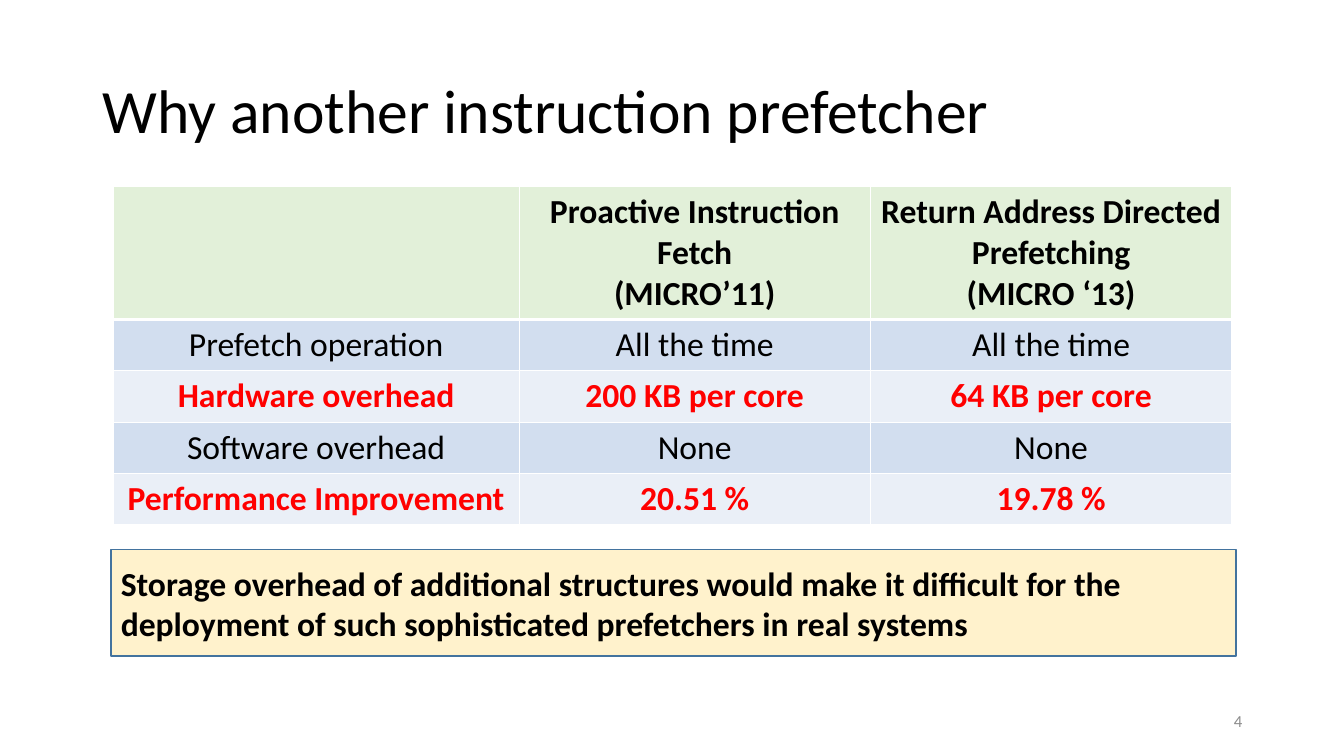
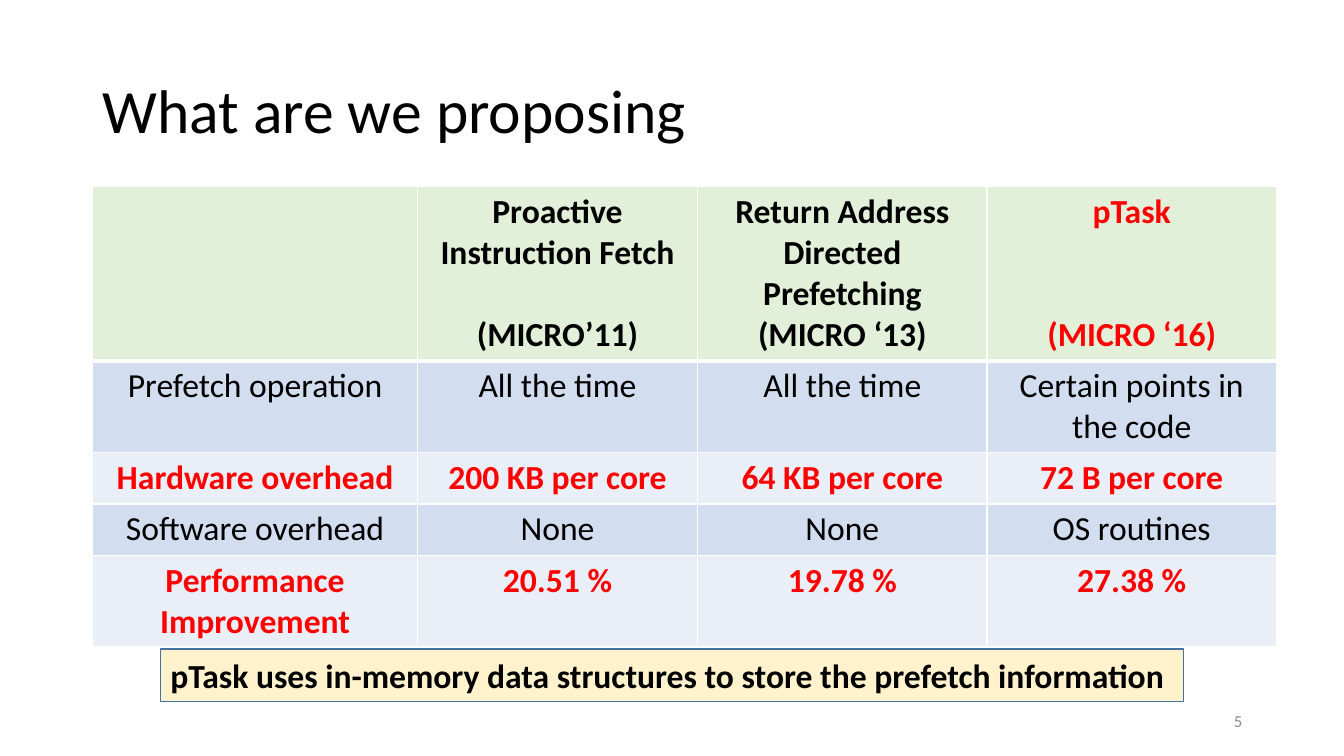
from lxml import etree
from pptx import Presentation
from pptx import util as u
from pptx.dml.color import RGBColor
from pptx.enum import shapes, text
from pptx.oxml.ns import qn

PX = 9144
FONT = "Calibri"
C = {
    "ink": "000000",
    "alert": "FF0000",
    "muted": "8C8C8C",
    "white": "FFFFFF",
    "header": "E2F0D9",
    "band": "D2DEEF",
    "light": "EAEFF7",
    "note": "FFF2CC",
    "edge": "43739E",
}
LINE = 29.3
LEFT, CENTER, RIGHT = text.PP_ALIGN.LEFT, text.PP_ALIGN.CENTER, text.PP_ALIGN.RIGHT
TOP, MIDDLE = text.MSO_ANCHOR.TOP, text.MSO_ANCHOR.MIDDLE


def write(tf, words, size=24, color="ink", bold=False, align=LEFT, anchor=MIDDLE, spacing=1.0, gap=0):
    tf.word_wrap = True
    tf.vertical_anchor = anchor
    for i, line in enumerate(words.split("\n")):
        p = tf.paragraphs[0] if i == 0 else tf.add_paragraph()
        p.alignment = align
        p.line_spacing = spacing
        if i and gap:
            p.space_before = u.Pt(gap)
        r = p.add_run()
        r.text = line
        r.font.name = FONT
        r.font.size = u.Pt(size)
        r.font.bold = bold
        r.font.color.rgb = RGBColor.from_string(C[color])


def border(cell, **widths):
    tc_pr = cell._tc.get_or_add_tcPr()
    for side in "LRTB":
        ln = etree.SubElement(tc_pr, qn("a:ln" + side), w=str(u.Pt(widths.get(side, 1))))
        fill = etree.SubElement(ln, qn("a:solidFill"))
        etree.SubElement(fill, qn("a:srgbClr"), val=C["white"])


slides = [
    {
        "title": "Why another instruction prefetcher",
        "number": "4",
        "left": 112,
        "cols": [403, 348, 359],
        "rows": [132, 51, 51, 51, 51],
        "header": [
            ("", 0),
            ("Proactive Instruction Fetch\n(MICRO’11)", 0),
            ("Return Address Directed Prefetching\n(MICRO ‘13)", 0),
        ],
        "body": [
            ["Prefetch operation", "All the time", "All the time"],
            ["Hardware overhead", "200 KB per core", "64 KB per core"],
            ["Software overhead", "None", "None"],
            ["Performance Improvement", "20.51 %", "19.78 %"],
        ],
        "note": "Storage overhead of additional structures would make it difficult for the "
                "deployment of such sophisticated prefetchers in real systems",
        "note_box": (110, 545, 1116, 106),
    },
    {
        "title": "What are we proposing",
        "number": "5",
        "left": 92,
        "cols": [322, 278, 287, 287],
        "rows": [173, 91, 51, 51, 91],
        "header": [
            ("", 0),
            ("Proactive Instruction Fetch\n(MICRO’11)", 1),
            ("Return Address Directed Prefetching\n(MICRO ‘13)", 0),
            ("pTask\n(MICRO ‘16)", 2),
        ],
        "body": [
            ["Prefetch operation", "All the time", "All the time", "Certain points in the code"],
            ["Hardware overhead", "200 KB per core", "64 KB per core", "72 B per core"],
            ["Software overhead", "None", "None", "OS routines"],
            ["Performance Improvement", "20.51 %", "19.78 %", "27.38 %"],
        ],
        "note": "pTask uses in-memory data structures to store the prefetch information",
        "note_box": (159, 644, 1015, 52),
    },
]

prs = Presentation()
prs.slide_width, prs.slide_height = 1333 * PX, 750 * PX

for data in slides:
    s = prs.slides.add_slide(prs.slide_layouts[6])

    title = s.shapes.add_textbox(92 * PX, 40 * PX, 1150 * PX, 145 * PX)
    write(title.text_frame, data["title"], size=44, spacing=0.9)
    number = s.shapes.add_textbox(942 * PX, 695 * PX, 300 * PX, 40 * PX)
    write(number.text_frame, data["number"], size=12, color="muted", align=RIGHT)

    cols, rows = data["cols"], data["rows"]
    table = s.shapes.add_table(len(rows), len(cols), data["left"] * PX, 185 * PX,
                               sum(cols) * PX, sum(rows) * PX).table
    for col, width in zip(table.columns, cols):
        col.width = width * PX
    for row, height in zip(table.rows, rows):
        row.height = height * PX

    for j, (words, blank_lines) in enumerate(data["header"]):
        cell = table.cell(0, j)
        border(cell, B=3)
        cell.fill.solid()
        cell.fill.fore_color.rgb = RGBColor.from_string(C["header"])
        if words:
            write(cell.text_frame, words, bold=True, align=CENTER, anchor=TOP, gap=blank_lines * LINE,
                  color="alert" if words.startswith("pTask") else "ink")

    for i, values in enumerate(data["body"], 1):
        key_row = i % 2 == 0
        for j, words in enumerate(values):
            cell = table.cell(i, j)
            border(cell, T=3 if i == 1 else 1)
            cell.fill.solid()
            cell.fill.fore_color.rgb = RGBColor.from_string(C["light" if key_row else "band"])
            write(cell.text_frame, words, bold=key_row, align=CENTER, anchor=TOP,
                  color="alert" if key_row else "ink")

    sp = s.shapes.add_shape(shapes.MSO_SHAPE.RECTANGLE, *(v * PX for v in data["note_box"]))
    sp.shadow.inherit = False
    sp.fill.solid()
    sp.fill.fore_color.rgb = RGBColor.from_string(C["note"])
    sp.line.color.rgb = RGBColor.from_string(C["edge"])
    sp.line.width = u.Pt(1)
    write(sp.text_frame, data["note"], bold=True)

prs.save("out.pptx")
